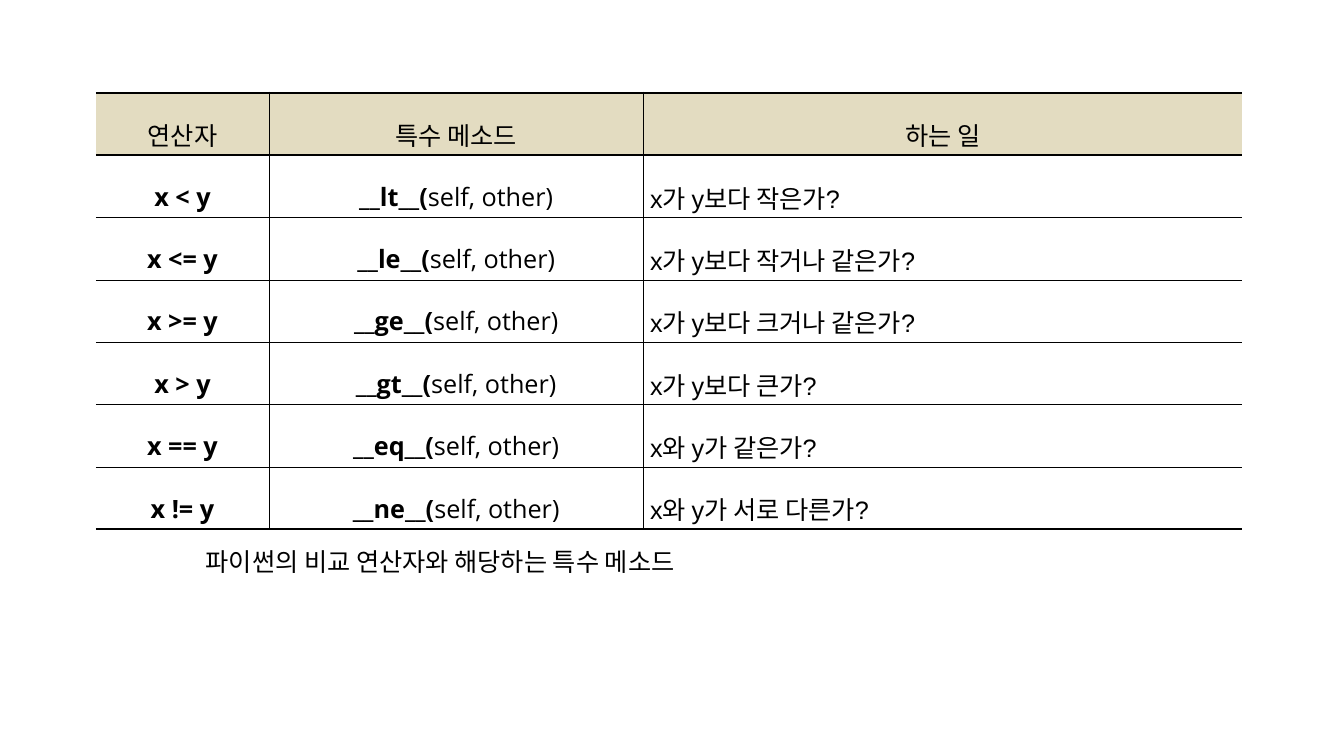
"""Build a slide with a table of Python comparison operators and their special methods."""
from dataclasses import dataclass

from lxml import etree
from pptx import Presentation
from pptx.dml.color import RGBColor
from pptx.enum.text import MSO_ANCHOR, PP_ALIGN
from pptx.oxml.ns import qn
from pptx.util import Inches, Pt

CENTER, JUSTIFY, LEFT = PP_ALIGN.CENTER, PP_ALIGN.JUSTIFY, PP_ALIGN.LEFT
MIDDLE = MSO_ANCHOR.MIDDLE


@dataclass(frozen=True)
class Theme:
    ink: str = "000000"
    header_fill: str = "E3DCC1"
    text_size: float = 18
    plain_font: str = "Arial"
    code_font: str = "Open Sans"
    korean_font: str = "Noto Sans CJK KR"
    line_spacing: float = 1.6
    thin: float = 0.28
    thick: float = 1.98


@dataclass(frozen=True)
class Comparison:
    operator: str
    method: str
    meaning: str


THEME = Theme()
HEADINGS = ("연산자", "특수 메소드", "하는 일")
COLUMN_WIDTHS = (1.72, 3.71, 5.94)
ROW_HEIGHT = 0.3
COMPARISONS = (
    Comparison("<", "lt", "x가 y보다 작은가?"),
    Comparison("<=", "le", "x가 y보다 작거나 같은가?"),
    Comparison(">=", "ge", "x가 y보다 크거나 같은가?"),
    Comparison(">", "gt", "x가 y보다 큰가?"),
    Comparison("==", "eq", "x와 y가 같은가?"),
    Comparison("!=", "ne", "x와 y가 서로 다른가?"),
)


def add_text(paragraph, text: str, *, font: str = THEME.plain_font,
             bold: bool = False, align=CENTER, spacing: float = 1.0) -> None:
    run = paragraph.add_run()
    run.text = text
    run.font.name = font
    run.font.size = Pt(THEME.text_size)
    run.font.bold = bold
    run.font.color.rgb = RGBColor.from_string(THEME.ink)
    properties = run.font._element
    etree.SubElement(properties, qn("a:ea"), typeface=THEME.korean_font)
    paragraph.alignment = align
    paragraph.line_spacing = spacing


def set_border(cell, side: str, width: float) -> None:
    properties = cell._tc.get_or_add_tcPr()
    border = etree.SubElement(properties, qn(f"a:ln{side}"), w=str(int(Pt(width))))
    if width:
        fill = etree.SubElement(border, qn("a:solidFill"))
        etree.SubElement(fill, qn("a:srgbClr"), val=THEME.ink)
    else:
        etree.SubElement(border, qn("a:noFill"))


def format_cell(cell, row: int, column: int) -> None:
    last_row, last_column = len(COMPARISONS), len(HEADINGS) - 1
    widths = {
        "L": THEME.thin if column > 0 else 0,
        "R": THEME.thin if column < last_column else 0,
        "T": THEME.thick if row <= 1 else THEME.thin,
        "B": THEME.thick if row in (0, last_row) else THEME.thin,
    }
    for side, width in widths.items():
        set_border(cell, side, width)
    if row == 0:
        cell.fill.solid()
        cell.fill.fore_color.rgb = RGBColor.from_string(THEME.header_fill)
    else:
        cell.fill.background()
    cell.vertical_anchor = MIDDLE
    cell.margin_left = cell.margin_right = Inches(0.07)
    cell.margin_top = cell.margin_bottom = Inches(0.02)


def add_operator_table(slide) -> None:
    row_count = len(COMPARISONS) + 1
    table = slide.shapes.add_table(
        row_count, len(HEADINGS), Inches(0.95), Inches(0.92),
        Inches(sum(COLUMN_WIDTHS)), Inches(ROW_HEIGHT * row_count)).table
    table.first_row = table.horz_banding = False
    for column, width in zip(table.columns, COLUMN_WIDTHS):
        column.width = Inches(width)
    for row_index, row in enumerate(table.rows):
        row.height = Inches(ROW_HEIGHT)
        for column_index, cell in enumerate(row.cells):
            format_cell(cell, row_index, column_index)

    spacing = THEME.line_spacing
    for column, heading in enumerate(HEADINGS):
        add_text(table.cell(0, column).text_frame.paragraphs[0], heading, spacing=spacing)
    for row, comparison in enumerate(COMPARISONS, start=1):
        operator, method, meaning = (
            table.cell(row, column).text_frame.paragraphs[0] for column in range(3))
        add_text(operator, f"x {comparison.operator} y", font=THEME.code_font,
                 bold=True, spacing=spacing)
        add_text(method, f"__{comparison.method}__(", font=THEME.code_font,
                 bold=True, spacing=spacing)
        add_text(method, "self, other)", font=THEME.code_font, spacing=spacing)
        add_text(meaning, comparison.meaning, align=JUSTIFY, spacing=spacing)


def add_caption(slide) -> None:
    caption = slide.shapes.add_textbox(
        Inches(1.53), Inches(5.37), Inches(5.98), Inches(0.4)).text_frame
    caption.word_wrap = True
    caption.margin_left = Inches(0.51)
    add_text(caption.paragraphs[0], "파이썬의 비교 연산자와 해당하는 특수 메소드",
             font=THEME.korean_font, align=LEFT)


def main() -> None:
    presentation = Presentation()
    presentation.slide_width = Inches(13.33)
    presentation.slide_height = Inches(7.5)
    slide = presentation.slides.add_slide(presentation.slide_layouts[6])
    add_operator_table(slide)
    add_caption(slide)
    presentation.save("out.pptx")


if __name__ == "__main__":
    main()
